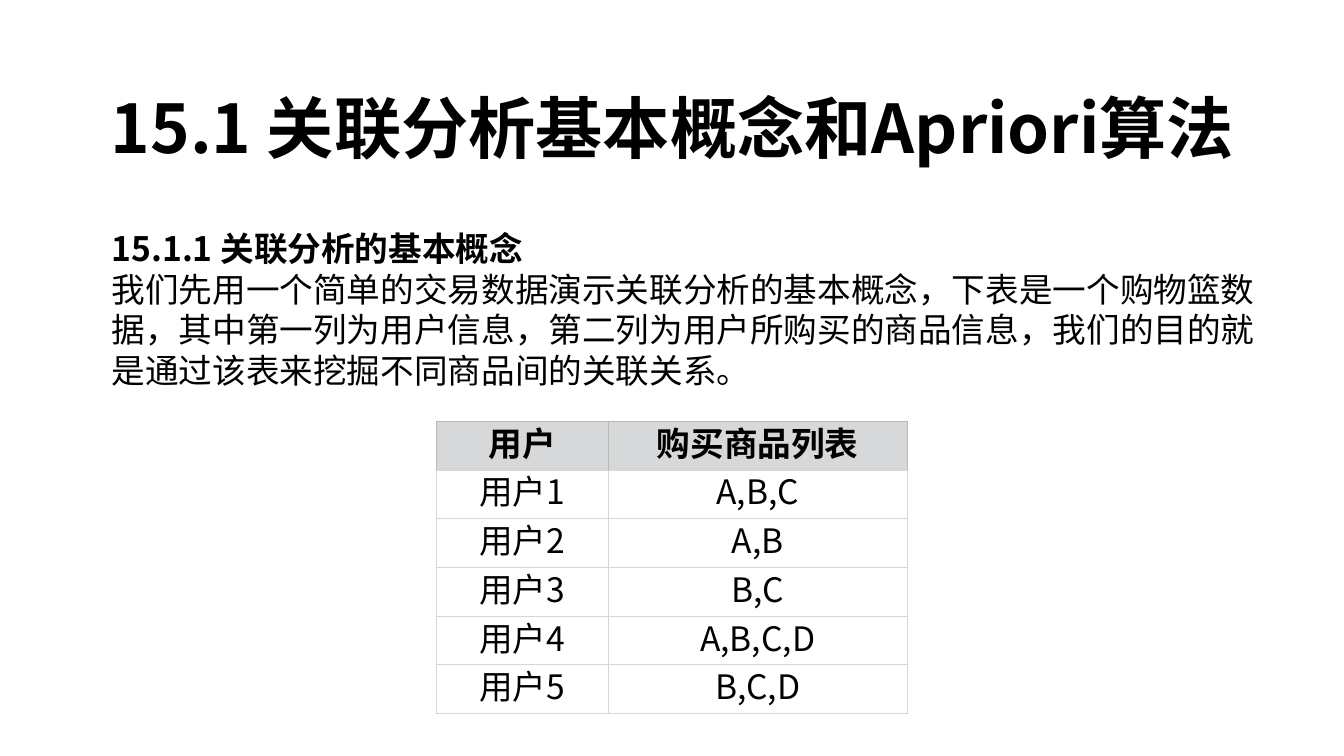
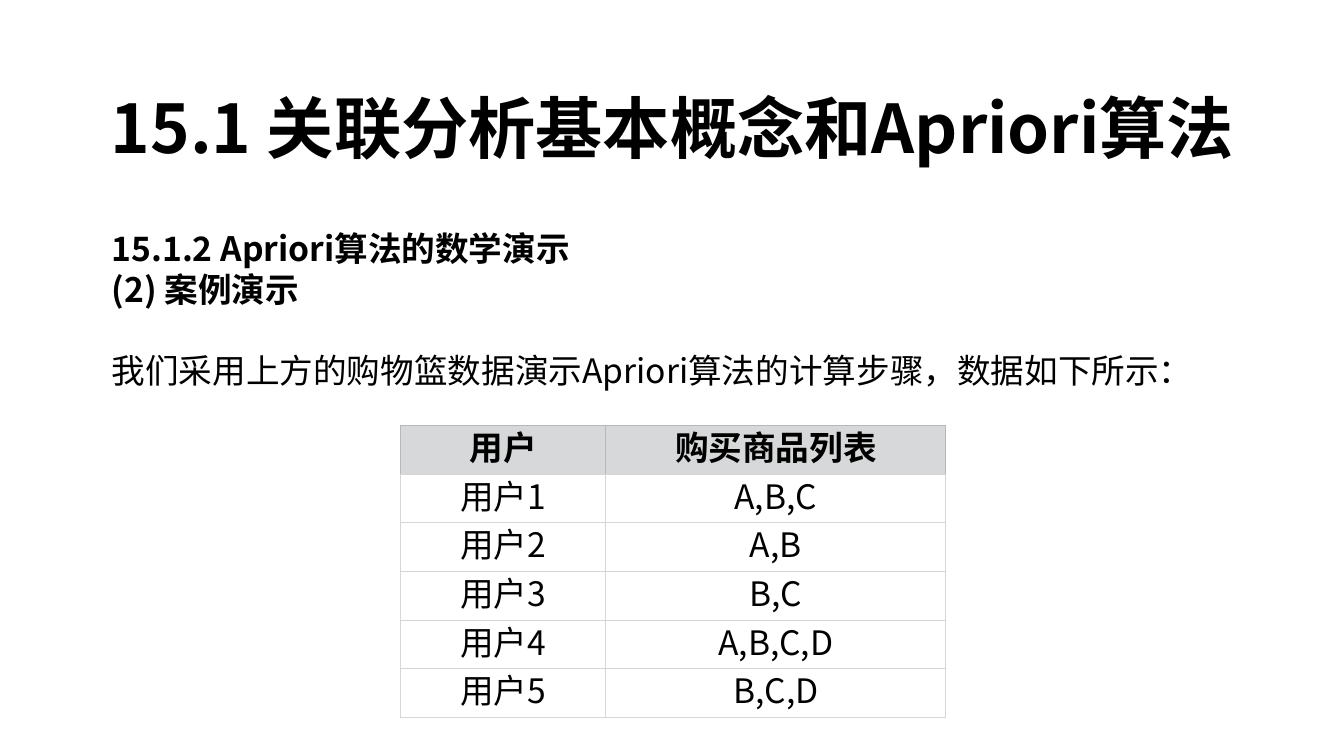
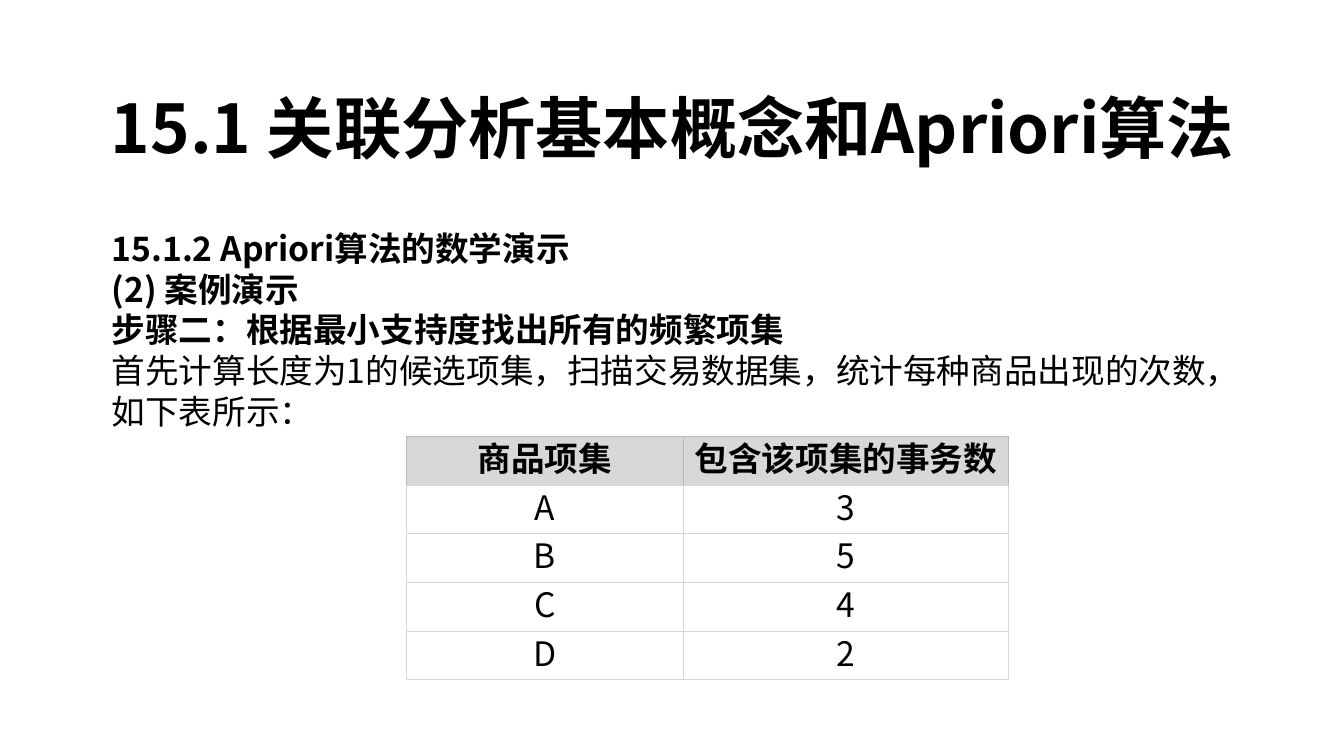
from lxml import etree
from pptx import Presentation
from pptx import util as u
from pptx.dml.color import RGBColor
from pptx.enum import text
from pptx.oxml.ns import qn

BLACK = RGBColor(0x00, 0x00, 0x00)
WHITE = RGBColor(0xFF, 0xFF, 0xFF)
HEAD = RGBColor(0xD7, 0xD8, 0xD9)
EDGE = RGBColor(0xB7, 0xB8, 0xB8)
RULE = RGBColor(0xD6, 0xD6, 0xD6)

FACE = "Noto Sans CJK SC"
TITLE = "15.1 关联分析基本概念和Apriori算法"
MATH = ["15.1.2 Apriori算法的数学演示", "(2) 案例演示"]
BASKET = [
    ("用户", "购买商品列表"),
    ("用户1", "A,B,C"),
    ("用户2", "A,B"),
    ("用户3", "B,C"),
    ("用户4", "A,B,C,D"),
    ("用户5", "B,C,D"),
]
COUNTS = [("商品项集", "包含该项集的事务数"),
          ("A", "3"), ("B", "5"), ("C", "4"), ("D", "2")]


class Deck:
    ratio = 1.21
    row = 0.48
    cell = {
        "margin_left": 0,
        "margin_right": 0,
        "margin_top": u.Inches(0.04),
        "margin_bottom": u.Inches(0.04),
        "vertical_anchor": text.MSO_ANCHOR.MIDDLE,
    }

    def __init__(self):
        self.prs = Presentation()
        self.prs.slide_width = u.Inches(13.33)
        self.prs.slide_height = u.Inches(7.5)

    def page(self):
        self.slide = self.prs.slides.add_slide(self.prs.slide_layouts[6])
        self.box((0.75, 0.8, 11.84, 0.91), [TITLE], [], 48,
                 text.PP_ALIGN.CENTER)

    def put(self, para, words, size, bold, align):
        para.alignment = align
        para.line_spacing = u.Pt(size * self.ratio)
        run = para.add_run()
        run.text = words
        style = {"name": FACE, "size": u.Pt(size), "bold": bold}
        for key, value in style.items():
            setattr(run.font, key, value)
        run.font.color.rgb = BLACK
        east = etree.SubElement(run.font._element, qn("a:ea"))
        east.set("typeface", FACE)

    def box(self, place, heads, lines, size=24, align=text.PP_ALIGN.LEFT,
            gap=0):
        shape = self.slide.shapes.add_textbox(*map(u.Inches, place))
        frame = shape.text_frame
        frame.word_wrap = True
        for i, words in enumerate(heads + lines):
            para = frame.paragraphs[0] if i == 0 else frame.add_paragraph()
            self.put(para, words, size, i < len(heads), align)
            if i == len(heads):
                para.space_before = u.Pt(gap)

    def edge(self, cell, side, color):
        props = cell._tc.get_or_add_tcPr()
        line = etree.SubElement(props, qn("a:ln" + side), w=str(u.Pt(0.75)))
        fill = etree.SubElement(line, qn("a:solidFill"))
        etree.SubElement(fill, qn("a:srgbClr"), val=str(color))

    def table(self, left, top, widths, rows):
        frame = self.slide.shapes.add_table(
            len(rows), len(widths), u.Inches(left), u.Inches(top),
            u.Inches(sum(widths)), u.Inches(self.row * len(rows)))
        grid = frame.table
        for col, width in zip(grid.columns, widths):
            col.width = u.Inches(width)
        for r, words in enumerate(rows):
            for c, word in enumerate(words):
                cell = grid.cell(r, c)
                for key, value in self.cell.items():
                    setattr(cell, key, value)
                for side in "LRTB":
                    head = r == 0 and side != "B"
                    self.edge(cell, side, EDGE if head else RULE)
                cell.fill.solid()
                cell.fill.fore_color.rgb = WHITE if r else HEAD
                self.put(cell.text_frame.paragraphs[0], word, 24, r == 0,
                         text.PP_ALIGN.CENTER)


def main():
    deck = Deck()

    deck.page()
    deck.box((1.01, 2.21, 11.57, 2.12), ["15.1.1 关联分析的基本概念"], [
        "我们先用一个简单的交易数据演示关联分析的基本概念，下表是一个购物篮数据，"
        "其中第一列为用户信息，第二列为用户所购买的商品信息，"
        "我们的目的就是通过该表来挖掘不同商品间的关联关系。"])
    deck.table(4.33, 4.18, (1.7, 2.97), BASKET)

    deck.page()
    deck.box((1.01, 2.21, 11.57, 1.72), MATH, [
        "我们采用上方的购物篮数据演示Apriori算法的计算步骤，数据如下所示："],
        gap=29)
    deck.table(3.97, 4.22, (2.04, 3.37), BASKET)

    deck.page()
    deck.box((1.01, 2.21, 11.57, 2.12),
             MATH + ["步骤二：根据最小支持度找出所有的频繁项集"], [
        "首先计算长度为1的候选项集，扫描交易数据集，"
        "统计每种商品出现的次数，如下表所示："])
    deck.table(4.03, 4.33, (2.75, 3.22), COUNTS)

    deck.prs.save("out.pptx")


if __name__ == "__main__":
    main()
